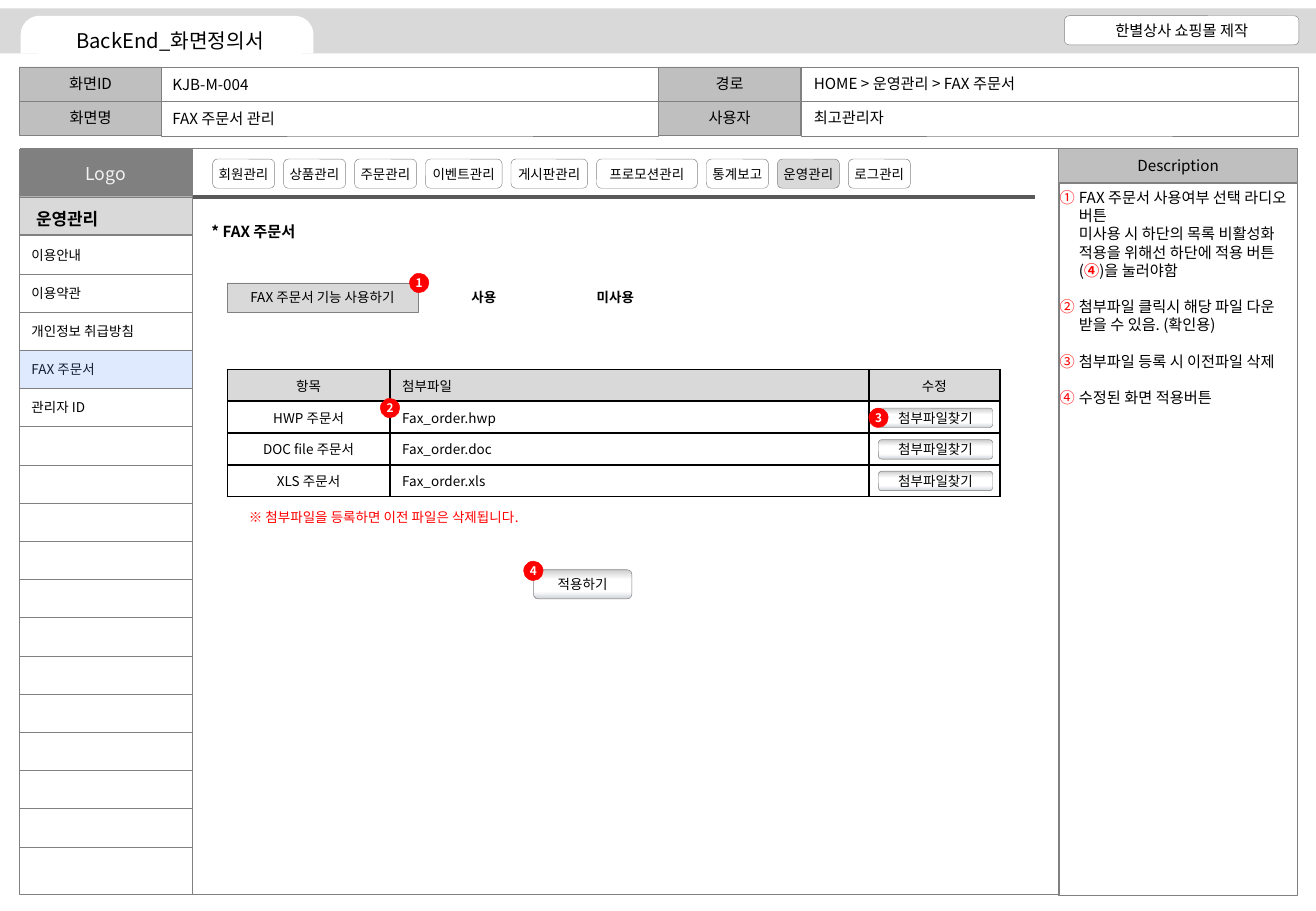
from dataclasses import dataclass
from itertools import accumulate
from typing import NamedTuple, Optional

from lxml.etree import Element, SubElement
from pptx import Presentation
from pptx.dml.color import RGBColor as Rgb
from pptx.enum.shapes import MSO_CONNECTOR as Link, MSO_SHAPE as Form
from pptx.enum.text import MSO_ANCHOR as Anchor, MSO_AUTO_SIZE as Auto, PP_ALIGN as Align
from pptx.oxml.ns import qn
from pptx.util import Inches, Pt

CELL = Inches(0.01)
COLS, ROWS = 1083, 750
FONT = "Noto Sans CJK KR"
HEX = {
    "black": "000000", "white": "FFFFFF", "red": "FF0000", "edge": "808080",
    "label": "BFBFBF", "pale": "D9D9D9", "rule": "595959", "logo": "F2F2F2",
    "blue": "6699FF", "cool": "DDE1E7", "base": "CCCCCC",
}
GLOSS = ((0, "label"), (8, "pale"), (34, "white"), (74, "white"), (93, "cool"), (100, "base"))


class Box(NamedTuple):
    col: float
    row: float
    cols: float
    rows: float


@dataclass
class Part:
    box: Box
    text: str = ""
    form: Optional[Form] = Form.RECTANGLE
    fill: str = ""
    edge: str = "edge"
    size: float = 9
    ink: str = "black"
    bold: bool = False
    align: Align = Align.CENTER
    pad: tuple = (10, 5)
    wrap: bool = True
    bends: tuple = ()
    alpha: int = 100


def grid(num: float) -> int:
    return round(num * CELL)


def tint(name: str) -> Rgb:
    return Rgb.from_string(HEX[name])


def apply(thing, **vals) -> None:
    for name, val in vals.items():
        setattr(thing, name, val)


def write(para, text: str, size: float, ink: str = "black", bold: bool = False) -> None:
    run = para.add_run()
    run.text = text
    run.font.color.rgb = tint(ink)
    apply(run.font, size=Pt(size), bold=bold, name=FONT)
    SubElement(run._r.rPr, qn("a:ea"), typeface=FONT)


def label(shape, part: Part) -> None:
    frame = shape.text_frame
    side, top = (grid(num) for num in part.pad)
    apply(frame, word_wrap=part.wrap, auto_size=Auto.NONE,
          vertical_anchor=Anchor.MIDDLE if part.form else Anchor.TOP,
          margin_left=side, margin_right=side, margin_top=top, margin_bottom=top)
    para = frame.paragraphs[0]
    para.alignment = part.align
    if part.text:
        write(para, part.text, part.size, part.ink, part.bold)


def shine(fill) -> None:
    fill.gradient()
    fill.gradient_angle = 270
    stops = fill._xPr.find(qn("a:gradFill")).find(qn("a:gsLst"))
    for old in list(stops):
        stops.remove(old)
    for pos, name in GLOSS:
        stop = SubElement(stops, qn("a:gs"), pos=str(pos * 1000))
        SubElement(stop, qn("a:srgbClr"), val=HEX[name])


def paint(shape, part: Part) -> None:
    shape.shadow.inherit = False
    for num, val in enumerate(part.bends):
        shape.adjustments[num] = val
    if part.fill == "gloss":
        shine(shape.fill)
    elif part.fill:
        shape.fill.solid()
        shape.fill.fore_color.rgb = tint(part.fill)
        if part.alpha < 100:
            shade = shape.fill._xPr.find(qn("a:solidFill"))[0]
            SubElement(shade, qn("a:alpha"), val=str(part.alpha * 1000))
    else:
        shape.fill.background()
    if part.edge:
        shape.line.color.rgb = tint(part.edge)
        shape.line.width = Pt(0.25)
    else:
        shape.line.fill.background()


def draw(shapes, part: Part):
    spot = [grid(num) for num in part.box]
    if part.form is None:
        shape = shapes.add_textbox(*spot)
    else:
        shape = shapes.add_shape(part.form, *spot)
        paint(shape, part)
    label(shape, part)
    return shape


def note(box: Box, text: str, **opts) -> Part:
    return Part(box, text, form=None, **{"align": Align.LEFT, "wrap": False, **opts})


def press(box: Box, text: str, fill: str = "gloss") -> Part:
    return Part(box, text, Form.ROUNDED_RECTANGLE, fill, size=8, pad=(0, 0))


def badge(col: float, row: float, text: str) -> Part:
    return Part(Box(col, row, 16, 16), text, Form.OVAL, "red", "red", 7, "white", True, pad=(0, 0))


def head() -> list[Part]:
    parts = [Part(Box(17, 122, 855, 614))]
    names = (("화면ID", "경로"), ("화면명", "사용자"))
    for num, pair in enumerate(names):
        for col, name in zip((16, 542), pair):
            row = 55 + 28 * num
            parts += [Part(Box(col, row, 117, 28), name, fill="label"),
                      Part(Box(col + 117, row, 409, 28 + num))]
    return parts + [
        Part(Box(871, 122, 197, 28), "Description", fill="label"),
        Part(Box(871, 151, 197, 586)),
        Part(Box(0, 7, COLS, 37), fill="pale", edge=""),
        Part(Box(17, 13, 241, 31), form=Form.ROUND_2_SAME_RECTANGLE, fill="white", edge="", bends=(0.5, 0)),
        Part(Box(876, 13, 193, 24), "한별상사 쇼핑몰 제작", Form.ROUNDED_RECTANGLE, "white"),
        Part(Box(30, 21, 220, 24), "BackEnd_화면정의서", Form.ROUNDED_RECTANGLE, "white", "", 12),
        note(Box(132, 57, 83, 25), "KJB-M-004"),
        note(Box(132, 85, 114, 25), "FAX 주문서 관리"),
        note(Box(660, 56, 207, 25), "HOME > 운영관리 > FAX 주문서"),
        note(Box(660, 84, 86, 25), "최고관리자"),
    ]


def tabs() -> list[Part]:
    names = ("회원관리", "상품관리", "주문관리", "이벤트관리", "게시판관리",
             "프로모션관리", "통계보고", "운영관리", "로그관리")
    wide = {4: 51, 5: 63, 6: 83}
    spans = [wide[len(name)] for name in names]
    lefts = accumulate((span + 7.4 for span in spans), initial=175)
    return [press(Box(col, 131, span, 24), name, "pale" if name == "운영관리" else "white")
            for col, span, name in zip(lefts, spans, names)]


def side() -> list[Part]:
    names = ("이용안내", "이용약관", "개인정보 취급방침", "FAX 주문서", "관리자 ID")
    parts = [
        Part(Box(16, 161, 142, 575), fill="white"),
        Part(Box(16, 123, 142, 39), "Logo", fill="edge", size=10.5, ink="logo"),
        Part(Box(16, 162, 142, 31), fill="pale"),
        note(Box(20, 167, 120, 27), "운영관리", size=10, bold=True),
    ]
    for num in range(16):
        text = names[num] if num < len(names) else ""
        parts.append(Part(Box(16, 194 + 31.45 * num, 142, 31.45), text, fill="white", size=8, align=Align.LEFT))
    return parts + [Part(Box(16, 288, 142, 31.45), fill="blue", alpha=20)]


def body() -> list[Part]:
    bold = {"size": 8, "bold": True, "pad": (4, 5)}
    finds = [press(Box(723, 336 + 26 * num, 94, 16), "첨부파일찾기") for num in range(3)]
    return finds + [
        note(Box(195, 414, 276, 24), "※ 첨부파일을 등록하면 이전 파일은 삭제됩니다.", size=8, ink="red", wrap=True),
        note(Box(384, 233, 30, 24), "사용", **bold),
        note(Box(487, 233, 42, 24), "미사용", **bold),
        Part(Box(187, 233, 157, 24), "FAX 주문서 기능 사용하기", fill="pale", size=8),
        press(Box(439, 469, 81, 24), "적용하기"),
        badge(337, 225, "1"), badge(313, 328, "2"), badge(715, 336, "3"), badge(431, 462, "4"),
    ]


def files(shapes) -> None:
    data = (("항목", "첨부파일", "수정"), ("HWP 주문서", "Fax_order.hwp", ""),
            ("DOC file 주문서", "Fax_order.doc", ""), ("XLS 주문서", "Fax_order.xls", ""))
    table = shapes.add_table(4, 3, *(grid(num) for num in Box(187, 304, 636, 105))).table
    apply(table, first_row=False, horz_banding=False)
    for col, span in zip(table.columns, (134, 394, 108)):
        col.width = grid(span)
    for num, (row, texts) in enumerate(zip(table.rows, data)):
        row.height = grid(26.25)
        for col, (cell, text) in enumerate(zip(row.cells, texts)):
            apply(cell, vertical_anchor=Anchor.MIDDLE, margin_top=grid(3), margin_bottom=grid(3))
            cell.fill.solid()
            cell.fill.fore_color.rgb = tint("white" if num else "pale")
            para = cell.text_frame.paragraphs[0]
            para.alignment = Align.LEFT if col == 1 else Align.CENTER
            if text:
                write(para, text, 8)
            else:
                SubElement(para._p, qn("a:endParaRPr"), sz="800")
            for spot, tag in enumerate(("a:lnL", "a:lnR", "a:lnT", "a:lnB")):
                line = Element(qn(tag), w=str(Pt(1)))
                SubElement(SubElement(line, qn("a:solidFill")), qn("a:srgbClr"), val=HEX["black"])
                cell._tc.tcPr.insert(spot, line)


def guide(shapes) -> None:
    points = (
        ("FAX 주문서 사용여부 선택 라디오 버튼", "미사용 시 하단의 목록 비활성화",
         "적용을 위해선 하단에 적용 버튼(④)을 눌러야함"),
        ("첨부파일 클릭시 해당 파일 다운 받을 수 있음. (확인용)",),
        ("첨부파일 등록 시 이전파일 삭제",),
        ("수정된 화면 적용버튼",),
    )
    frame = draw(shapes, note(Box(872, 155, 197, 583), "", pad=(0, 0), wrap=True)).text_frame
    for num, lines in enumerate(points):
        para = frame.add_paragraph() if num else frame.paragraphs[0]
        apply(para, line_spacing=Pt(10.8), space_after=Pt(10.8))
        props = para._p.get_or_add_pPr()
        props.set("marL", str(grid(16)))
        props.set("indent", str(-grid(16)))
        SubElement(SubElement(props, qn("a:buClr")), qn("a:srgbClr"), val=HEX["red"])
        SubElement(props, qn("a:buAutoNum"), type="circleNumDbPlain")
        for spot, line in enumerate(lines):
            if spot:
                para.add_line_break()
            start, mark, end = line.partition("④")
            write(para, start, 9)
            if mark:
                write(para, mark, 9, "red", True)
                write(para, end, 9)


def rule(shapes) -> None:
    ends = (grid(num) for num in (159, 162, 852, 162))
    line = shapes.add_connector(Link.STRAIGHT, *ends)
    line.line.color.rgb = tint("rule")
    line.line.width = Pt(2.25)
    SubElement(line._element.spPr, qn("a:effectLst"))


def main() -> None:
    deck = Presentation()
    apply(deck, slide_width=grid(COLS), slide_height=grid(ROWS))
    shapes = deck.slides.add_slide(deck.slide_layouts[5]).shapes
    title = note(Box(164, 178, 96, 25), "* FAX 주문서", bold=True)
    apply(shapes.title, **dict(zip(("left", "top", "width", "height"), map(grid, title.box))))
    label(shapes.title, title)
    for part in head() + side():
        draw(shapes, part)
    rule(shapes)
    files(shapes)
    for part in tabs() + body():
        draw(shapes, part)
    guide(shapes)
    deck.save("out.pptx")


if __name__ == "__main__":
    main()
